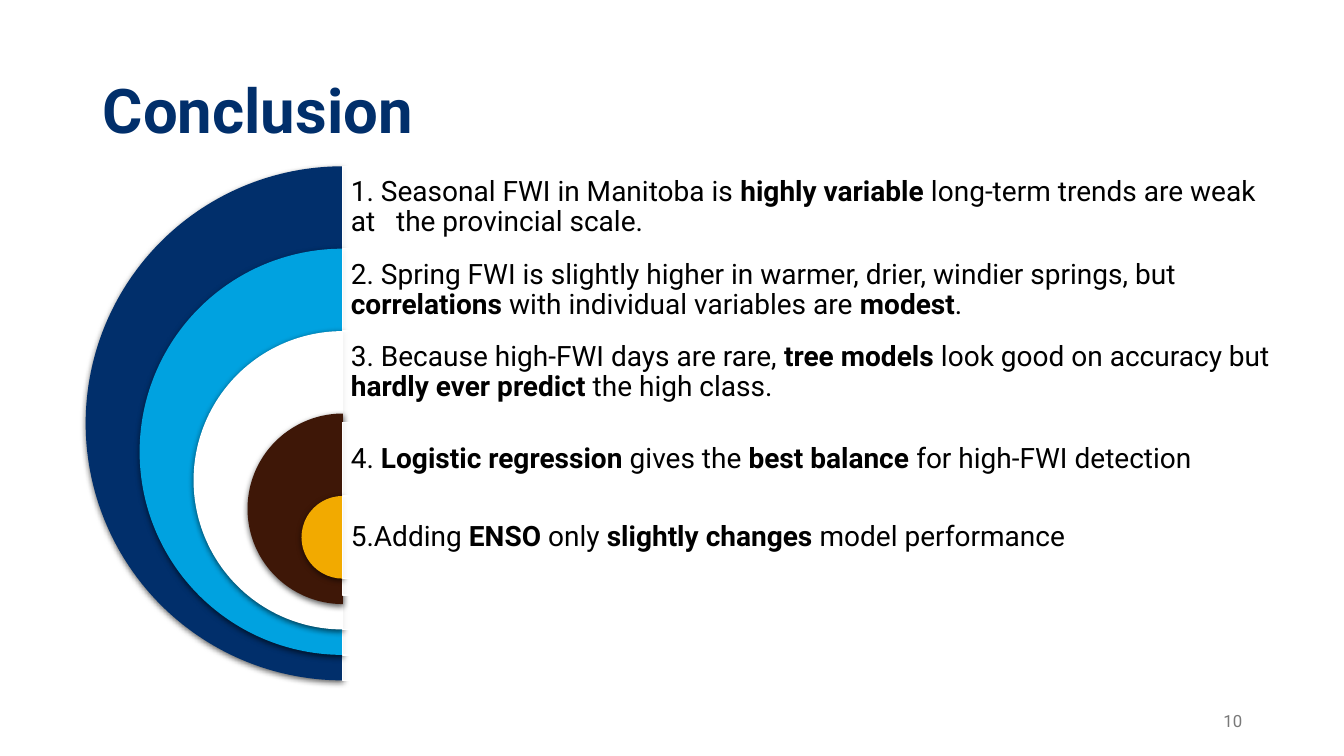
from dataclasses import dataclass

from lxml.etree import SubElement
from pptx import Presentation
from pptx.dml.color import RGBColor
from pptx.enum.shapes import MSO_SHAPE
from pptx.enum.text import MSO_ANCHOR, MSO_AUTO_SIZE, PP_ALIGN
from pptx.oxml.ns import qn
from pptx.shapes.autoshape import Shape
from pptx.shapes.shapetree import GroupShapes
from pptx.util import Inches, Pt

CENTRE_X = 3.4
PANEL_WIDTH = 9.36
FIRST_TOP = 1.65
ROW_STEP = (4.92 - FIRST_TOP) / 4
FIRST_DIAMETER = 5.1
DIAMETER_STEP = 1.07
ROW_HEIGHT = 0.82


@dataclass
class Finding:
    """A conclusion, with bold parts between double asterisks, and its ring."""

    text: str
    ring_color: str
    inset: float = 0


FINDINGS = [
    Finding("1. Seasonal FWI in Manitoba is **highly variable **long-term trends are weak "
            "at   the provincial scale.", "012F6B"),
    Finding("2. Spring FWI is slightly higher in warmer, drier, windier springs, but "
            "**correlations** with individual variables are **modest**.", "00A2E0"),
    Finding("3. Because high-FWI days are rare, **tree models **look good on accuracy but "
            "**hardly ever predict **the high class.", "FFFFFF"),
    Finding("4. **Logistic regression **gives the **best balance **for high-FWI detection",
            "3E1707", inset=0.09),
    Finding("5.Adding **ENSO** only **slightly changes **model performance", "F2AA00"),
]


def color(value: str) -> RGBColor:
    """Turn a hex string into a colour."""
    return RGBColor.from_string(value)


def box(left: float, top: float, width: float, height: float) -> list[int]:
    """Give a position and size in inches as slide lengths."""
    return [Inches(length) for length in (left, top, width, height)]


def apply(target: object, values: dict[str, object]) -> None:
    """Set each named attribute on the target."""
    for name, value in values.items():
        setattr(target, name, value)


def write(shape: Shape, text: str, size: int, text_color: str, bold: bool = False,
          align: PP_ALIGN = PP_ALIGN.LEFT, line_spacing: float = 0.9,
          margin: float | None = None) -> None:
    """Write one paragraph whose double asterisks toggle bold."""
    frame = shape.text_frame
    apply(frame, {"word_wrap": True, "auto_size": MSO_AUTO_SIZE.NONE,
                  "vertical_anchor": MSO_ANCHOR.MIDDLE})
    if margin is not None:
        sides = ("left", "top", "right", "bottom")
        apply(frame, {f"margin_{side}": Inches(margin) for side in sides})
    paragraph = frame.paragraphs[0]
    apply(paragraph, {"alignment": align, "line_spacing": line_spacing})
    for index, part in enumerate(text.split("**")):
        run = paragraph.add_run()
        run.text = part
        apply(run.font, {"name": "Roboto", "size": Pt(size),
                         "bold": bold or index % 2 == 1})
        run.font.color.rgb = color(text_color)


def add_filled(shapes: GroupShapes, kind: MSO_SHAPE, place: list[int], fill: str) -> Shape:
    """Add a plain shape with a solid fill and no shadow."""
    shape = shapes.add_shape(kind, *place)
    shape.shadow.inherit = False
    shape.fill.solid()
    shape.fill.fore_color.rgb = color(fill)
    return shape


def add_ring(shapes: GroupShapes, top: float, diameter: float, fill: str) -> None:
    """Add a left half disc with a soft shadow below it."""
    place = box(CENTRE_X - diameter / 2, top, diameter, diameter)
    ring = add_filled(shapes, MSO_SHAPE.PIE, place, fill)
    ring.adjustments[0], ring.adjustments[1] = 54, 162
    ring.line.fill.background()
    effects = ring.element.spPr.find(qn("a:effectLst"))
    shadow = SubElement(effects, qn("a:outerShdw"), blurRad=str(Pt(4.5)),
                        dist=str(Pt(1.5)), dir="5400000", algn="ctr", rotWithShape="0")
    black = SubElement(shadow, qn("a:srgbClr"), val="000000")
    SubElement(black, qn("a:alpha"), val="63000")


def add_panel(shapes: GroupShapes, top: float, height: float) -> None:
    """Add the translucent white panel to the right of the rings."""
    place = box(CENTRE_X, top, PANEL_WIDTH, height)
    panel = add_filled(shapes, MSO_SHAPE.RECTANGLE, place, "FFFFFF")
    panel.line.color.rgb = color("FFFFFF")
    panel.line.width = Pt(1)
    fill = panel.element.spPr.find(qn("a:solidFill"))
    SubElement(fill[0], qn("a:alpha"), val="90000")


def add_finding(shapes: GroupShapes, index: int, finding: Finding) -> None:
    """Add the ring, panel and text of one conclusion."""
    top = FIRST_TOP + index * ROW_STEP
    diameter = FIRST_DIAMETER - index * DIAMETER_STEP
    add_ring(shapes, top, diameter, finding.ring_color)
    panel_top = top + finding.inset
    add_panel(shapes, panel_top, diameter - 2 * finding.inset)
    place = box(CENTRE_X, panel_top, PANEL_WIDTH, ROW_HEIGHT - finding.inset)
    write(shapes.add_textbox(*place), finding.text, 20, "000000", margin=0.08)


def main() -> None:
    """Build and save the conclusion slide."""
    presentation = Presentation()
    apply(presentation, {"slide_width": Inches(13.33), "slide_height": Inches(7.5)})
    slide = presentation.slides.add_slide(presentation.slide_layouts[5])
    title = slide.shapes.title
    apply(title, dict(zip(("left", "top", "width", "height"), box(0.92, 0.4, 11.5, 1.45))))
    write(title, "Conclusion", 44, "012F6B", bold=True)
    group = slide.shapes.add_group_shape()
    for index, finding in enumerate(FINDINGS):
        add_finding(group.shapes, index, finding)
    number = slide.shapes.add_textbox(*box(9.42, 6.95, 3, 0.4))
    write(number, "10", 12, "797979", align=PP_ALIGN.RIGHT, line_spacing=1.0)
    presentation.save("out.pptx")


if __name__ == "__main__":
    main()
